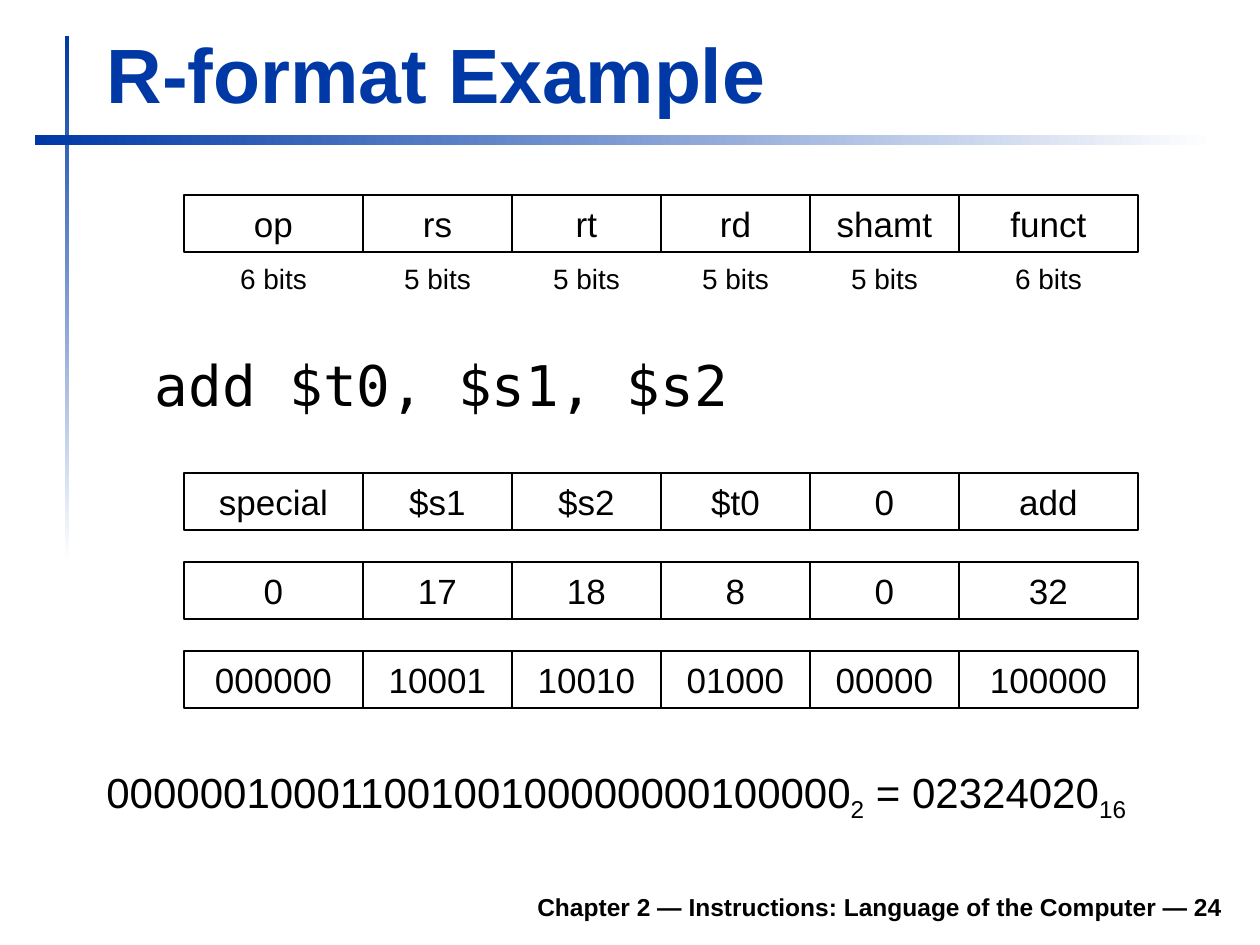
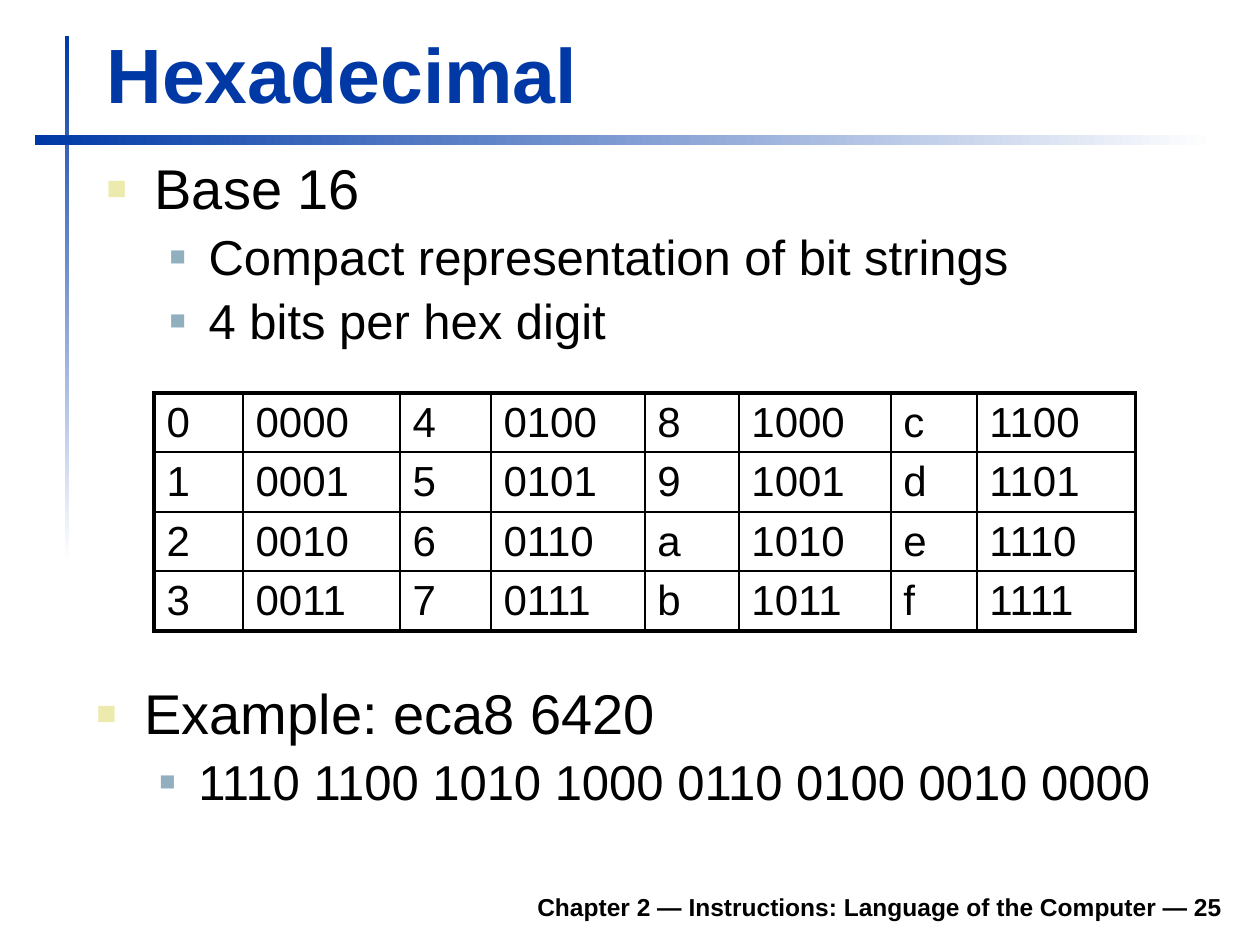
from lxml.etree import SubElement
from pptx import Presentation
from pptx.dml.color import RGBColor
from pptx.enum.shapes import MSO_SHAPE as Preset
from pptx.enum.text import MSO_ANCHOR as Anchor, MSO_AUTO_SIZE as AutoSize, PP_ALIGN as Align
from pptx.oxml import parse_xml
from pptx.oxml.ns import nsdecls, qn
from pptx.util import Pt

PIXEL = 914400 // 126
BLUE = RGBColor(0x00, 0x39, 0xA6)
WHITE = RGBColor(0xFF, 0xFF, 0xFF)
BLACK = RGBColor(0x00, 0x00, 0x00)
CREAM = RGBColor(0xEC, 0xEA, 0xAC)
STEEL = RGBColor(0x91, 0xAF, 0xBF)
SANS, MONO = "Arial", "DejaVu Sans Mono"
FOOTER = "Chapter 2 — Instructions: Language of the Computer — "

# Bullet levels: left margin and hang in pixels, size, colour, bullet percent
LEVELS = [(48, 48, 32, CREAM, 60), (102, 39, 28, STEEL, 55)]

# Instruction fields
FIELD_WIDTHS = [179, 149, 149, 149, 149, 179]
FIELD_HEIGHT, ROW_PITCH = 57, 89
FIELD_NAMES = ["op", "rs", "rt", "rd", "shamt", "funct"]
FIELD_BITS = [6, 5, 5, 5, 5, 6]
ENCODINGS = [
    ["special", "$s1", "$s2", "$t0", "0", "add"],
    ["0", "17", "18", "8", "0", "32"],
    ["000000", "10001", "10010", "01000", "00000", "100000"],
]

# Hexadecimal table
HEX_WIDTHS = [89, 157, 91, 154, 94, 152, 86, 159]
HEX_HEIGHTS = [59, 60, 59, 60]
THIN, MEDIUM, THICK = 1, 1.5, 2.25


def emu(*pixels):
    return [round(length * PIXEL) for length in pixels]


def style(para, size, color=BLACK, bold=False, name=SANS, align=Align.LEFT):
    para.alignment = align
    font = para.font
    font.size, font.bold, font.name = Pt(size), bold, name
    font.color.rgb = color


def place(holder, box):
    holder.left, holder.top, holder.width, holder.height = emu(*box)
    frame = holder.text_frame
    frame.word_wrap, frame.auto_size = True, AutoSize.NONE
    frame.vertical_anchor = Anchor.TOP
    return frame


def add_text(page, box, text, size, **look):
    frame = place(page.shapes.add_textbox(*emu(*box)), box)
    frame.text = text
    style(frame.paragraphs[0], size, **look)
    return frame


def indent(para, margin, hang):
    props = para._p.get_or_add_pPr()
    props.set("marL", str(margin * PIXEL))
    props.set("indent", str(-hang * PIXEL))
    return props


def fill_bullets(frame, items):
    for index, (level, text) in enumerate(items):
        para = frame.paragraphs[0] if index == 0 else frame.add_paragraph()
        margin, hang, size, color, percent = LEVELS[level]
        para.text, para.level = text, level
        props = indent(para, margin, hang)
        SubElement(SubElement(props, qn("a:buClr")), qn("a:srgbClr"), val=str(color))
        SubElement(props, qn("a:buSzPct"), val=str(percent * 1000))
        SubElement(props, qn("a:buFont"), typeface=SANS)
        SubElement(props, qn("a:buChar"), char="■")
        para.line_spacing = 0.9
        para.space_before = Pt(round(size * 0.23, 1))
        style(para, size)


def add_master_bands(deck, page):
    """Draw the two fading bands and hand them to the slide master."""
    tree = deck.slide_master.shapes.element
    for order, (box, angle) in enumerate([((65, 36, 4, 525), 270), ((35, 135, 1180, 10), 0)]):
        band = page.shapes.add_shape(Preset.RECTANGLE, *emu(*box))
        band.name = f"Band {order + 1}"
        band.shadow.inherit = False
        band.line.fill.background()
        band.fill.gradient()
        band.fill.gradient_angle = angle
        for stop, color in zip(band.fill.gradient_stops, (BLUE, WHITE)):
            stop.color.rgb = color
        band.element.nvSpPr.cNvPr.set("id", str(100 + order))
        tree.insert(2 + order, band.element)


def add_page(deck, title, number):
    """Add a slide with its title and footer; return it with its body."""
    page = deck.slides.add_slide(deck.slide_layouts[1])
    heading, body = page.placeholders
    frame = place(heading, (94, 20, 1138, 105))
    frame.text, frame.vertical_anchor = title, Anchor.BOTTOM
    style(frame.paragraphs[0], 44, color=BLUE, bold=True)
    footer = add_text(page, (233, 879, 1002, 49), f"{FOOTER}{number}", 14,
                      bold=True, align=Align.RIGHT)
    footer.vertical_anchor = Anchor.BOTTOM
    return page, body


def add_fields(page, left, top, labels):
    """Draw one row of adjoining instruction fields."""
    for width, label in zip(FIELD_WIDTHS, labels):
        field = page.shapes.add_shape(Preset.RECTANGLE, *emu(left, top, width, FIELD_HEIGHT))
        field.shadow.inherit = False
        field.fill.background()
        field.line.color.rgb, field.line.width = BLACK, Pt(1.5)
        field.text_frame.text = label
        field.text_frame.word_wrap = True
        style(field.text_frame.paragraphs[0], 20, align=Align.CENTER)
        left += width


def add_field_format(page, left, top):
    """Draw the field names with the bit counts below them."""
    add_fields(page, left, top, FIELD_NAMES)
    for width, bits in zip(FIELD_WIDTHS, FIELD_BITS):
        add_text(page, (left, top + 60, width, 47), f"{bits} bits", 16, align=Align.CENTER)
        left += width


def add_result(page, box):
    """Write the encoded word with subscript bases."""
    frame = add_text(page, box, "", 24)
    para = frame.paragraphs[0]
    para.space_before = Pt(5.5)
    for text, base in [("00000010001100100100000000100000", "2"), (" = 02324020", "16")]:
        para.add_run().text = text
        span = para.add_run()
        span.text = base
        span.font._element.set("baseline", "-25000")


def column_edge(index):
    """Line width at a column boundary: digit and bits form a pair."""
    if index in (0, len(HEX_WIDTHS)):
        return THICK
    return THIN if index % 2 else MEDIUM


def row_edge(index):
    return THICK if index in (0, len(HEX_HEIGHTS)) else THIN


def set_borders(cell, widths):
    props = cell._tc.get_or_add_tcPr()
    for order, (side, width) in enumerate(zip("LRTB", widths)):
        props.insert(order, parse_xml(
            f'<a:ln{side} {nsdecls("a")} w="{round(width * 12700)}"><a:solidFill>'
            f'<a:srgbClr val="{BLACK}"/></a:solidFill></a:ln{side}>'))


def add_hex_table(page, left, top):
    """Draw the digits 0 to f, counted down the columns, beside their bits."""
    rows, columns = len(HEX_HEIGHTS), len(HEX_WIDTHS)
    box = emu(left, top, sum(HEX_WIDTHS), sum(HEX_HEIGHTS))
    table = page.shapes.add_table(rows, columns, *box).table
    table.first_row = table.horz_banding = False
    for column, width in zip(table.columns, HEX_WIDTHS):
        column.width = width * PIXEL
    for row, height in zip(table.rows, HEX_HEIGHTS):
        row.height = height * PIXEL
    for r in range(rows):
        for c in range(columns):
            cell = table.cell(r, c)
            value = c // 2 * rows + r
            cell.text = f"{value:04b}" if c % 2 else f"{value:x}"
            cell.vertical_anchor = Anchor.MIDDLE
            cell.margin_top = cell.margin_bottom = 4 * PIXEL
            cell.fill.background()
            set_borders(cell, (column_edge(c), column_edge(c + 1), row_edge(r), row_edge(r + 1)))
            style(cell.text_frame.paragraphs[0], 24)


def build_format_slide(deck):
    page, body = add_page(deck, "R-format Example", 24)
    add_master_bands(deck, page)
    add_field_format(page, 184, 195)
    # Assembly instruction
    frame = place(body, (94, 344, 1140, 89))
    frame.text = "add $t0, $s1, $s2"
    para = frame.paragraphs[0]
    SubElement(indent(para, 48, 0), qn("a:buNone"))
    para.space_before = Pt(7.4)
    style(para, 32, name=MONO)
    # Encodings: names, decimal, binary
    for index, labels in enumerate(ENCODINGS):
        add_fields(page, 184, 473 + index * ROW_PITCH, labels)
    add_result(page, (94, 760, 1121, 69))


def build_hex_slide(deck):
    page, body = add_page(deck, "Hexadecimal", 25)
    fill_bullets(place(body, (94, 155, 1140, 218)), [
        (0, "Base 16"),
        (1, "Compact representation of bit strings"),
        (1, "4 bits per hex digit"),
    ])
    add_hex_table(page, 154, 393)
    example = page.shapes.add_textbox(*emu(84, 680, 1140, 159))
    fill_bullets(place(example, (84, 680, 1140, 159)), [
        (0, "Example: eca8 6420"),
        (1, "1110 1100 1010 1000 0110 0100 0010 0000"),
    ])


deck = Presentation()
deck.slide_width, deck.slide_height = emu(1260, 945)
build_format_slide(deck)
build_hex_slide(deck)
deck.save("out.pptx")
